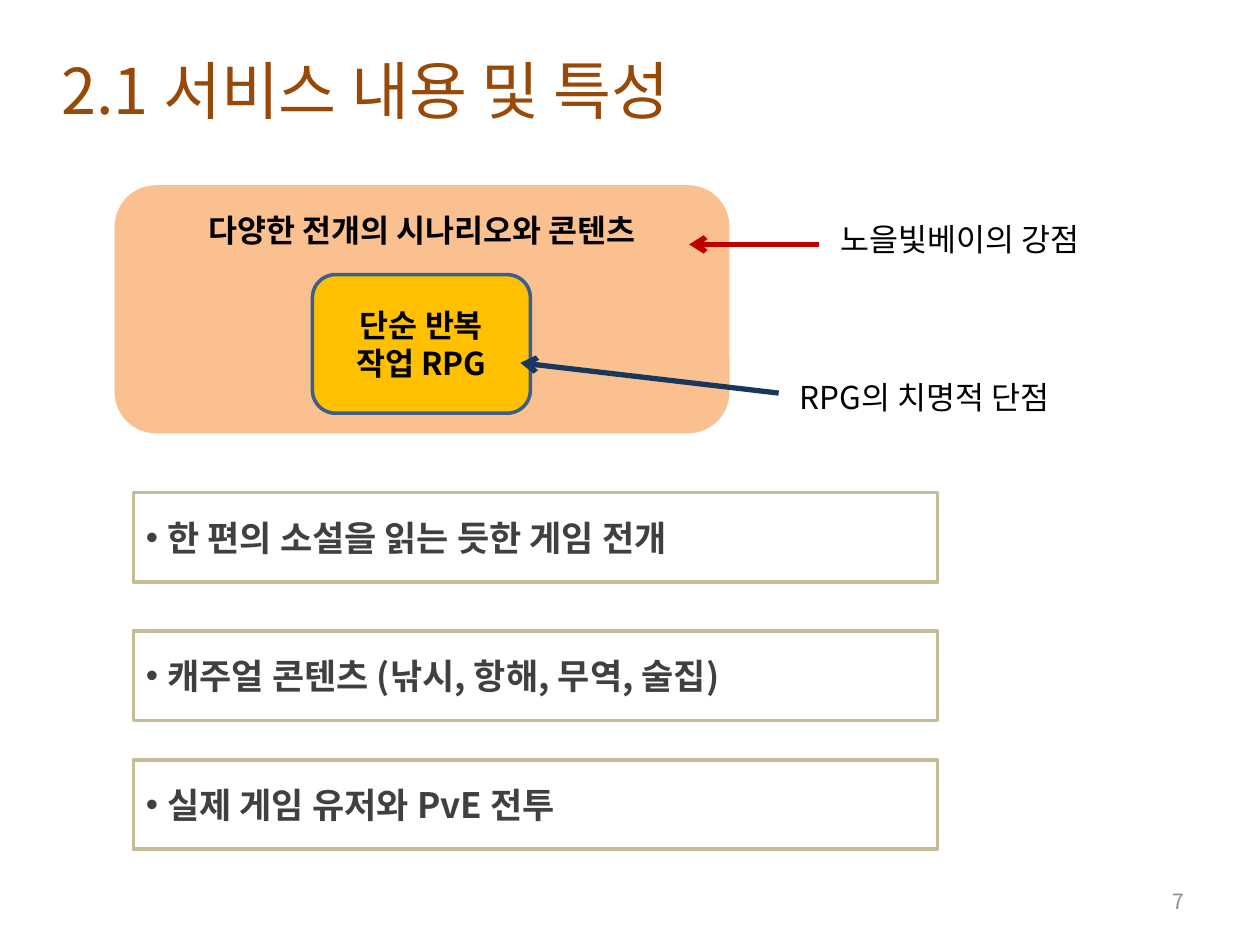
from pptx import Presentation
from pptx.dml.color import RGBColor
from pptx.enum.shapes import MSO_CONNECTOR, MSO_SHAPE
from pptx.enum.text import MSO_ANCHOR, PP_ALIGN
from pptx.oxml.ns import qn
from pptx.util import Inches, Pt
from lxml.etree import SubElement

FONT = "Noto Sans CJK KR"


def rgb(value):
    return RGBColor.from_string(value)


def write(sp, text, size, color, bold=False, align=PP_ALIGN.LEFT, anchor=MSO_ANCHOR.TOP):
    tf = sp.text_frame
    tf.word_wrap = True
    tf.vertical_anchor = anchor
    tf.text = text
    p = tf.paragraphs[0]
    p.alignment = align
    r = p.runs[0]
    r.font.name = FONT
    r.font.size = Pt(size)
    r.font.bold = bold
    r.font.color.rgb = rgb(color)
    SubElement(r._r.get_or_add_rPr(), qn("a:ea"), typeface=FONT)
    return p


def add_label(s, x, y, w, h, text, size, color="000000", **style):
    sp = s.shapes.add_textbox(Inches(x), Inches(y), Inches(w), Inches(h))
    write(sp, text, size, color, **style)


def add_box(s, kind, x, y, w, h, fill=None, line=None):
    sp = s.shapes.add_shape(kind, Inches(x), Inches(y), Inches(w), Inches(h))
    sp.shadow.inherit = False
    if fill:
        sp.fill.solid()
        sp.fill.fore_color.rgb = rgb(fill)
    else:
        sp.fill.background()
    if line:
        sp.line.color.rgb = rgb(line)
        sp.line.width = Pt(2)
    else:
        sp.line.fill.background()
    return sp


def add_arrow(s, x1, y1, x2, y2, color):
    c = s.shapes.add_connector(MSO_CONNECTOR.STRAIGHT, Inches(x1), Inches(y1), Inches(x2), Inches(y2))
    c.line.color.rgb = rgb(color)
    c.line.width = Pt(3)
    SubElement(c.line._get_or_add_ln(), qn("a:tailEnd"), type="arrow")
    SubElement(c._element.spPr, qn("a:effectLst"))


def add_diagram(s, x, y):
    outer = add_box(s, MSO_SHAPE.ROUNDED_RECTANGLE, x, y, 4.88, 1.97, "FAC090")
    write(outer, "다양한 전개의 시나리오와 콘텐츠", 18, "000000", True, PP_ALIGN.CENTER)
    outer.text_frame.margin_top = Inches(0.11)
    inner = add_box(s, MSO_SHAPE.ROUNDED_RECTANGLE, x + 1.57, y + 0.71, 1.73, 1.1, "FFC000", "3A5F8C")
    write(inner, "단순 반복 작업 RPG", 18, "000000", True, PP_ALIGN.CENTER, MSO_ANCHOR.MIDDLE)
    add_arrow(s, x + 5.27, y + 1.65, x + 3.22, y + 1.41, "17375E")
    add_label(s, x + 5.34, y + 1.48, 2.37, 0.4, "RPG의 치명적 단점", 18)
    add_arrow(s, x + 5.59, y + 0.47, x + 4.56, y + 0.47, "C00000")
    add_label(s, x + 5.66, y + 0.23, 2.31, 0.4, "노을빛베이의 강점", 18)


def add_feature(s, x, y, text):
    sp = add_box(s, MSO_SHAPE.RECTANGLE, x, y, 6.38, 0.71, line="C4BD97")
    p = write(sp, text, 20, "404040", True, anchor=MSO_ANCHOR.MIDDLE)
    pPr = p._p.get_or_add_pPr()
    pPr.set("marL", str(Inches(0.17)))
    pPr.set("indent", str(-Inches(0.17)))
    SubElement(pPr, qn("a:buFont"), typeface="Arial")
    SubElement(pPr, qn("a:buChar"), char="•")


prs = Presentation()
prs.slide_width, prs.slide_height = Inches(10), Inches(7.5)
s = prs.slides.add_slide(prs.slide_layouts[6])

add_label(s, 7.17, 6.95, 2.33, 0.4, "7", 12, "8C8C8C", align=PP_ALIGN.RIGHT, anchor=MSO_ANCHOR.MIDDLE)
add_label(s, 0.39, 0.36, 5.66, 0.71, "2.1 서비스 내용 및 특성", 36, "984807")
add_diagram(s, 0.91, 1.47)

features = [
    (3.91, "한 편의 소설을 읽는 듯한 게임 전개"),
    (5.01, "캐주얼 콘텐츠 (낚시, 항해, 무역, 술집)"),
    (6.03, "실제 게임 유저와 PvE 전투"),
]
for y, text in features:
    add_feature(s, 1.06, y, text)

prs.save("out.pptx")
